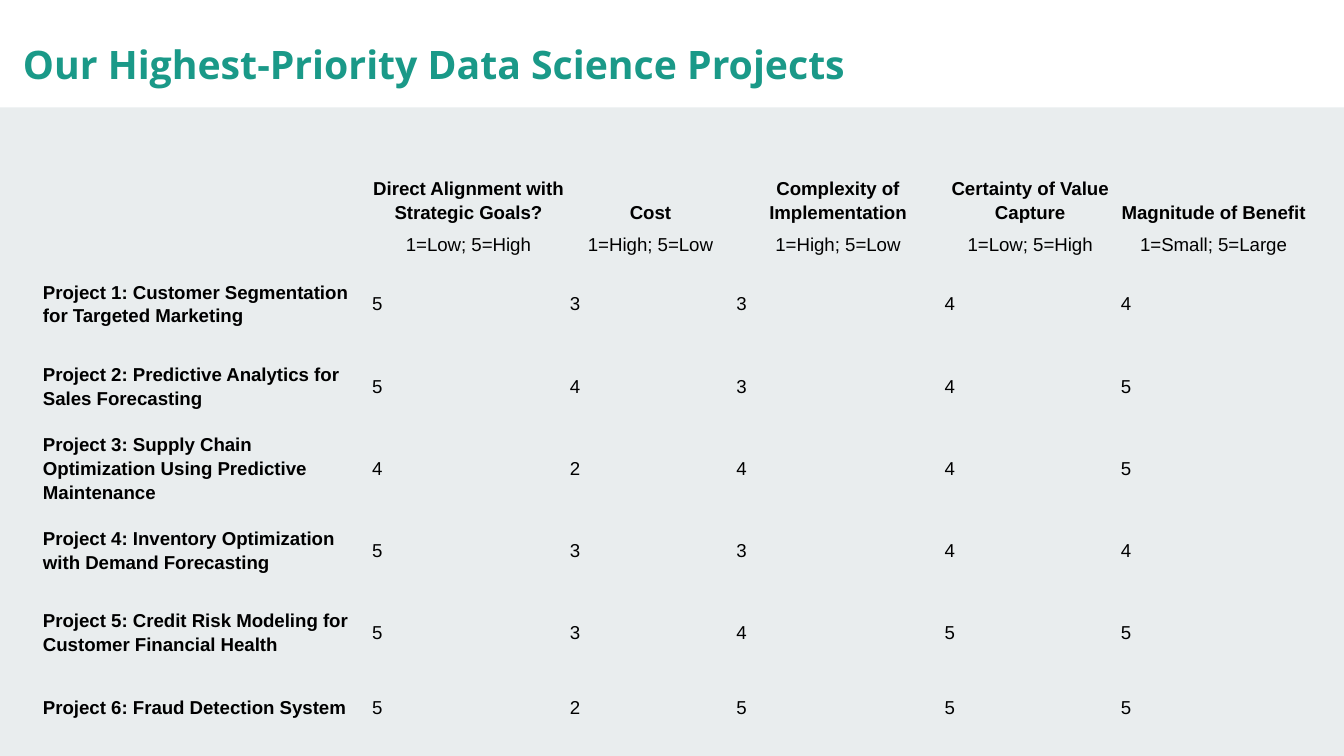
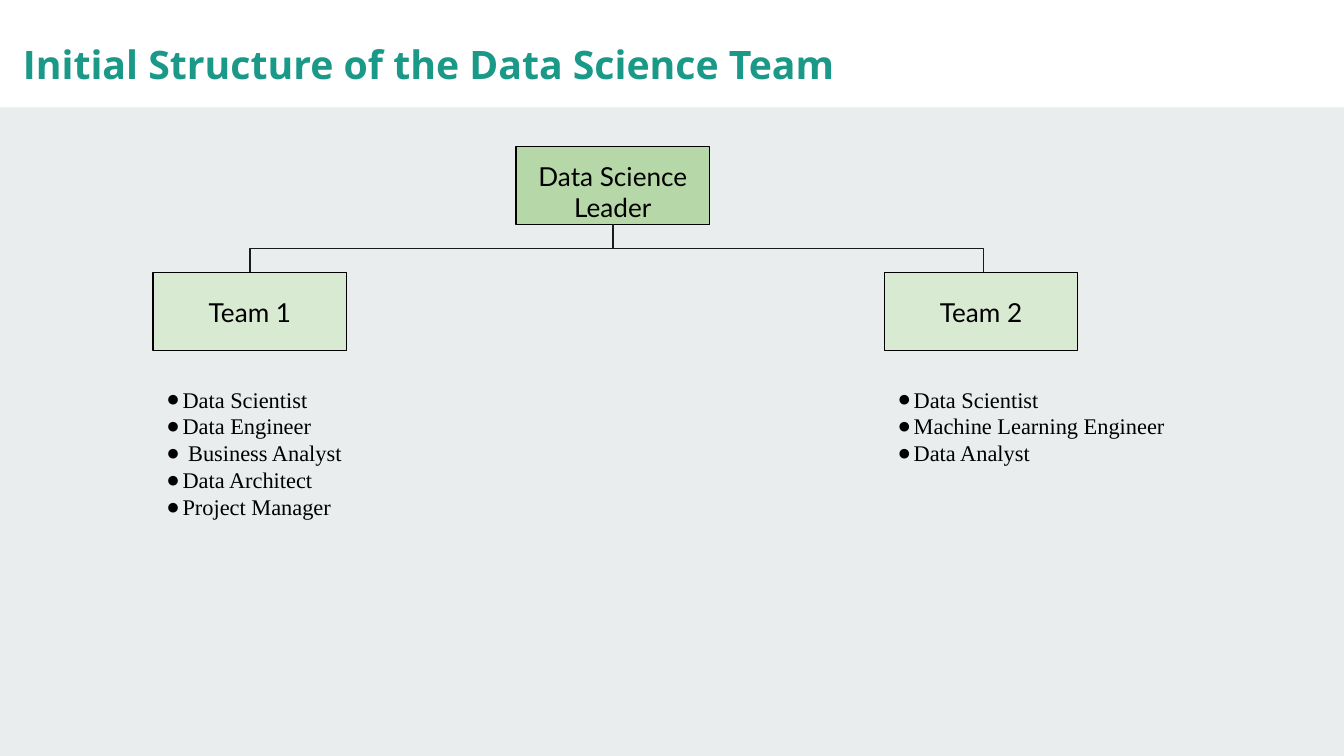
from lxml.etree import SubElement
from pptx import Presentation
from pptx.dml.color import RGBColor
from pptx.enum.shapes import MSO_CONNECTOR, MSO_SHAPE
from pptx.enum.text import MSO_ANCHOR, MSO_AUTO_SIZE, PP_ALIGN
from pptx.oxml.ns import qn
from pptx.util import Inches, Pt

TEAL, WHITE, GREY, BLACK, LINE = "1A9988", "FFFFFF", "E9EDEE", "000000", "1A1A1A"
DARK_GREEN, LIGHT_GREEN = "B6D7A8", "D9EAD3"
PLAIN_TABLE = "{2D5ABB26-0587-4C30-8999-92F81FD0307C}"

CRITERIA = [
    ("Direct Alignment with Strategic Goals?", "1=Low; 5=High"),
    ("Cost", "1=High; 5=Low"),
    ("Complexity of Implementation", "1=High; 5=Low"),
    ("Certainty of Value Capture", "1=Low; 5=High"),
    ("Magnitude of Benefit", "1=Small; 5=Large"),
]
PROJECTS = [
    ("Project 1: Customer Segmentation for Targeted Marketing", "53344"),
    ("Project 2: Predictive Analytics for Sales Forecasting", "54345"),
    ("Project 3: Supply Chain Optimization Using Predictive Maintenance", "42445"),
    ("Project 4: Inventory Optimization with Demand Forecasting", "53344"),
    ("Project 5: Credit Risk Modeling for Customer Financial Health", "53455"),
    ("Project 6: Fraud Detection System", "52555"),
]
COLUMN_WIDTHS = [2.45, 1.47, 1.24, 1.55, 1.31, 1.42]
ROW_HEIGHTS = [0.56, 0.24, 0.67, 0.56, 0.66, 0.56, 0.66, 0.45]
TEAMS = [
    ("Team 1", 1.14, 1.86, 2.33, 2.3,
     ["Data Scientist", "Data Engineer", " Business Analyst", "Data Architect", "Project Manager"]),
    ("Team 2", 6.58, 7.32, 2.85, 1.93,
     ["Data Scientist", "Machine Learning Engineer", "Data Analyst"]),
]
NODE_WIDTH, NODE_HEIGHT = 1.44, 0.58


def color(value):
    return RGBColor.from_string(value)


def write(frame, lines, size, font, ink=BLACK, bold=False, align=PP_ALIGN.LEFT,
          anchor=MSO_ANCHOR.TOP, spacing=None, bullet=None):
    frame.word_wrap = True
    frame.vertical_anchor = anchor
    for index, line in enumerate(lines):
        para = frame.add_paragraph() if index else frame.paragraphs[0]
        para.alignment = align
        para.line_spacing = spacing
        if bullet:
            add_bullet(para, bullet, font)
        if not line:
            SubElement(para._p, qn("a:endParaRPr"), sz=str(size * 100))
            continue
        span = para.add_run()
        span.text = line
        span.font.size = Pt(size)
        span.font.name = font
        span.font.bold = bold
        span.font.color.rgb = color(ink)


def add_bullet(para, symbol, font):
    properties = para._p.get_or_add_pPr()
    properties.set("marL", str(Inches(0.12)))
    properties.set("indent", str(Inches(-0.22)))
    tint = SubElement(properties, qn("a:buClr"))
    SubElement(tint, qn("a:srgbClr"), val=BLACK)
    SubElement(properties, qn("a:buFont"), typeface=font)
    SubElement(properties, qn("a:buChar"), char=symbol)


def set_margins(target, size):
    target.margin_left = target.margin_right = Inches(size)
    target.margin_top = target.margin_bottom = Inches(size)


def add_box(page, left, top, width, height, fill, line=None):
    box = page.shapes.add_shape(MSO_SHAPE.RECTANGLE, Inches(left), Inches(top),
                                Inches(width), Inches(height))
    box.shadow.inherit = False
    box.fill.solid()
    box.fill.fore_color.rgb = color(fill)
    if line:
        box.line.color.rgb = color(line)
        box.line.width = Pt(0.75)
    else:
        box.line.fill.background()
    return box


def add_page(deck, heading):
    page = deck.slides.add_slide(deck.slide_layouts[5])
    band = add_box(page, 0, 0, 10, 0.8, WHITE)
    page.shapes._spTree.insert(2, band._element)
    title = page.shapes.title
    title.left, title.top = Inches(0.07), Inches(0.15)
    title.width, title.height = Inches(8.44), Inches(0.37)
    frame = title.text_frame
    frame.auto_size = MSO_AUTO_SIZE.NONE
    set_margins(frame, 0.1)
    write(frame, [heading], 21, "Open Sans", ink=TEAL, bold=True, spacing=1.15)
    return page


def add_score_table(page, left, top):
    rows = [[""] + [name for name, scale in CRITERIA],
            [""] + [scale for name, scale in CRITERIA]]
    rows += [[project, *scores] for project, scores in PROJECTS]
    holder = page.shapes.add_table(len(rows), len(COLUMN_WIDTHS), Inches(left), Inches(top),
                                   Inches(sum(COLUMN_WIDTHS)), Inches(sum(ROW_HEIGHTS)))
    table = holder.table
    table.first_row = table.horz_banding = False
    table._tbl.tblPr.find(qn("a:tableStyleId")).text = PLAIN_TABLE
    for column, width in zip(table.columns, COLUMN_WIDTHS):
        column.width = Inches(width)
    for r, (row, height) in enumerate(zip(rows, ROW_HEIGHTS)):
        table.rows[r].height = Inches(height)
        header = r < 2
        for c, text in enumerate(row):
            cell = table.cell(r, c)
            cell.fill.background()
            set_margins(cell, 0.02)
            write(cell.text_frame, [text], 10, "Arial", bold=r == 0 or c == 0, spacing=1.15,
                  align=PP_ALIGN.CENTER if header else PP_ALIGN.LEFT)
            cell.vertical_anchor = MSO_ANCHOR.BOTTOM if header else MSO_ANCHOR.MIDDLE


def add_node(page, label, left, top, fill, anchor=MSO_ANCHOR.MIDDLE):
    node = add_box(page, left, top, NODE_WIDTH, NODE_HEIGHT, fill, line=BLACK)
    set_margins(node.text_frame, 0.1)
    write(node.text_frame, [label], 14, "Lato", align=PP_ALIGN.CENTER, anchor=anchor)


def add_branch(page, start_x, start_y, end_x, end_y):
    middle_x, middle_y = (start_x + end_x) / 2, (start_y + end_y) / 2
    half_run, half_drop = (end_x - start_x) / 2, (end_y - start_y) / 2
    branch = page.shapes.add_connector(
        MSO_CONNECTOR.ELBOW,
        Inches(middle_x - half_drop), Inches(middle_y + half_run),
        Inches(middle_x + half_drop), Inches(middle_y - half_run))
    branch.line.color.rgb = color(LINE)
    branch.line.width = Pt(0.75)
    properties = branch._element.spPr
    properties.find(qn("a:xfrm")).set("rot", str(90 * 60000))
    SubElement(properties, qn("a:effectLst"))


def add_team(page, left, top, name, width, height, roles):
    add_node(page, name, left, top, LIGHT_GREEN)
    box = page.shapes.add_textbox(Inches(left), Inches(top + 0.74), Inches(width), Inches(height))
    set_margins(box.text_frame, 0.1)
    write(box.text_frame, roles, 12, "Times New Roman", bullet="●")


def add_team_chart(page, leader_left, leader_top):
    team_top = leader_top + 0.94
    add_node(page, "Data Science Leader", leader_left, leader_top, DARK_GREEN,
             anchor=MSO_ANCHOR.TOP)
    for name, left, branch_x, width, height, roles in TEAMS:
        add_branch(page, leader_left + NODE_WIDTH / 2, leader_top + NODE_HEIGHT,
                   branch_x, team_top)
        add_team(page, left, team_top, name, width, height, roles)


def main():
    deck = Presentation()
    deck.slide_width = Inches(10)
    deck.slide_height = deck.slide_width * 9 // 16
    backdrop = deck.slide_master.background.fill
    backdrop.solid()
    backdrop.fore_color.rgb = color(GREY)
    add_score_table(add_page(deck, "Our Highest-Priority Data Science Projects"), 0.3, 1.12)
    add_team_chart(add_page(deck, "Initial Structure of the Data Science Team"), 3.84, 1.09)
    deck.save("out.pptx")


if __name__ == "__main__":
    main()
